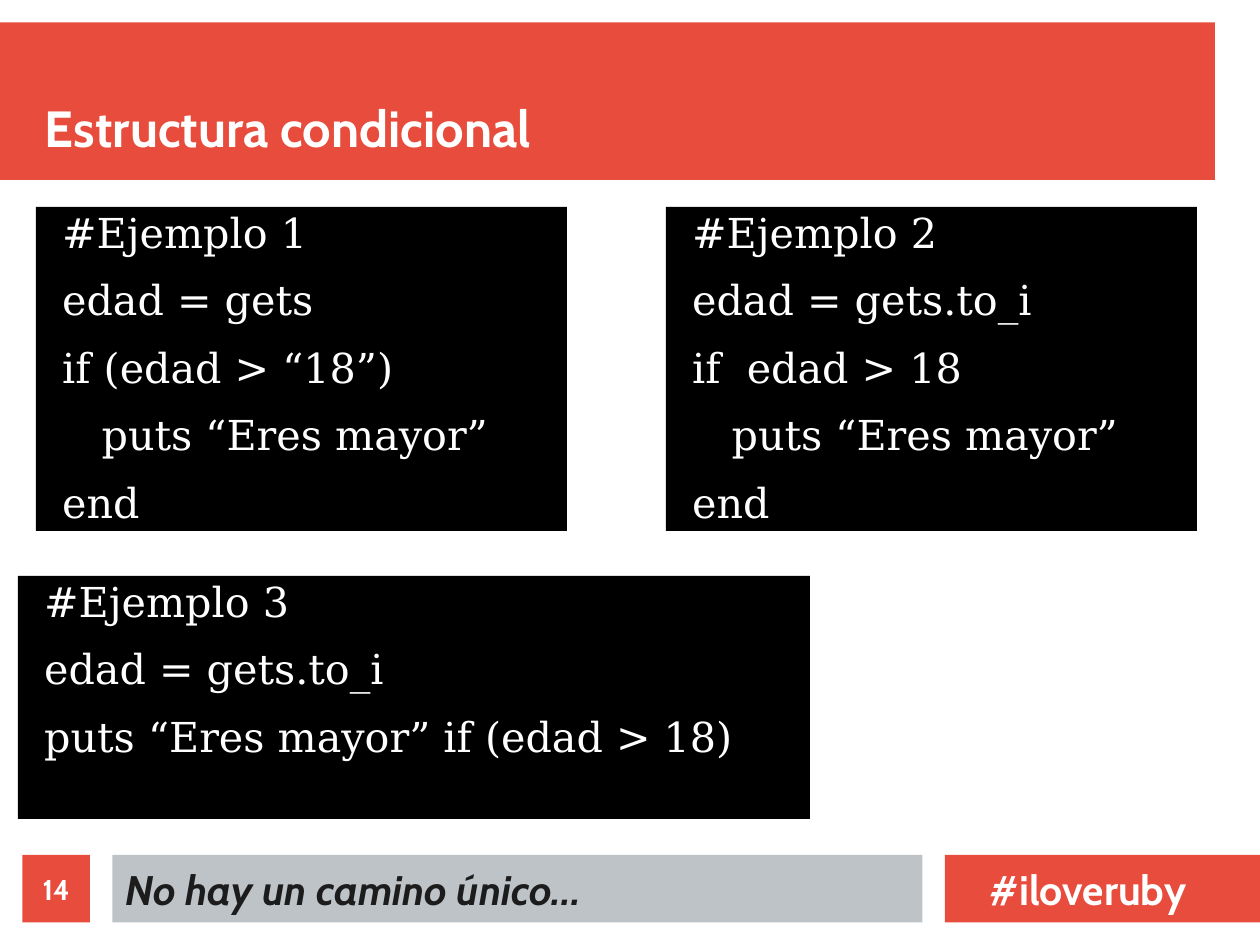
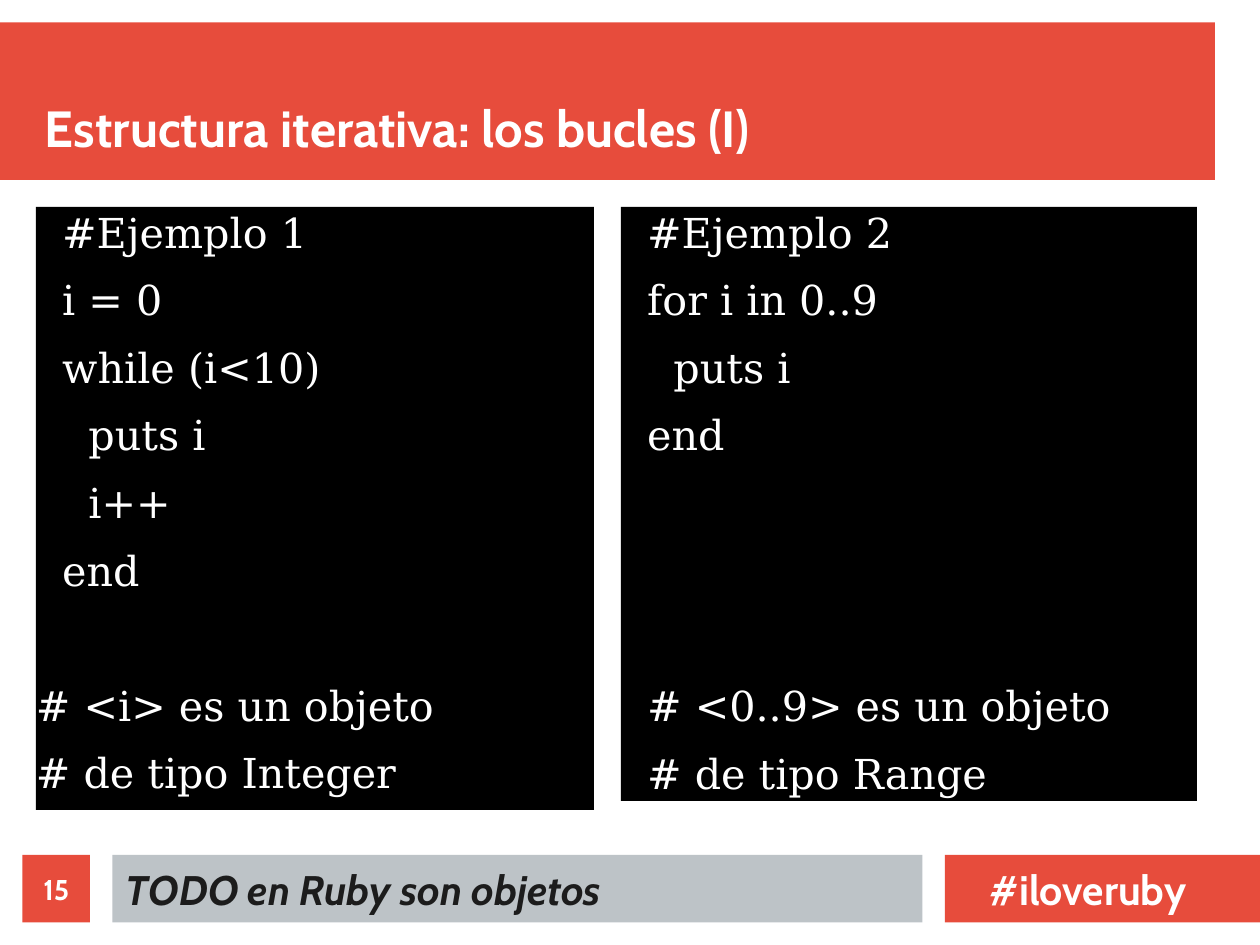
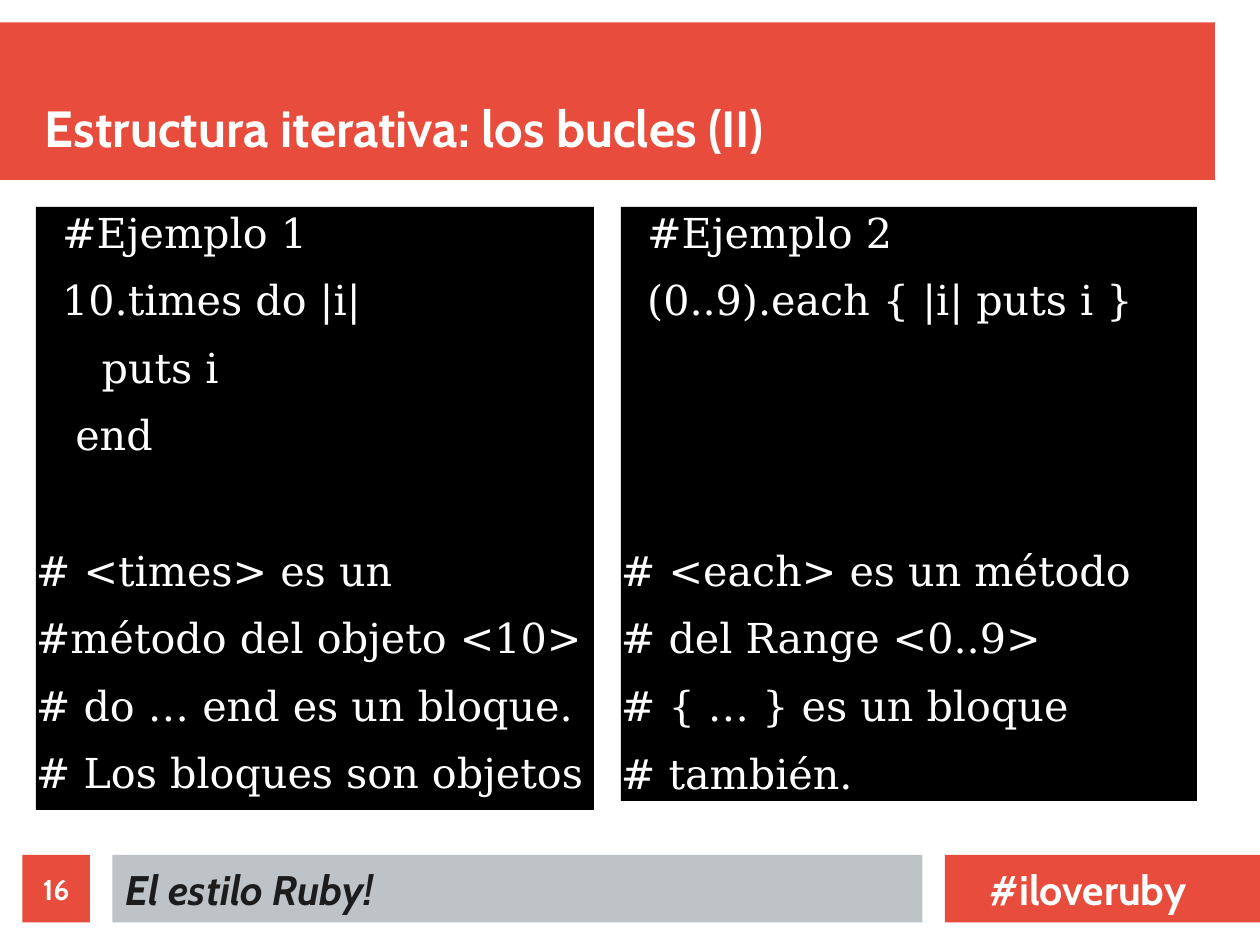
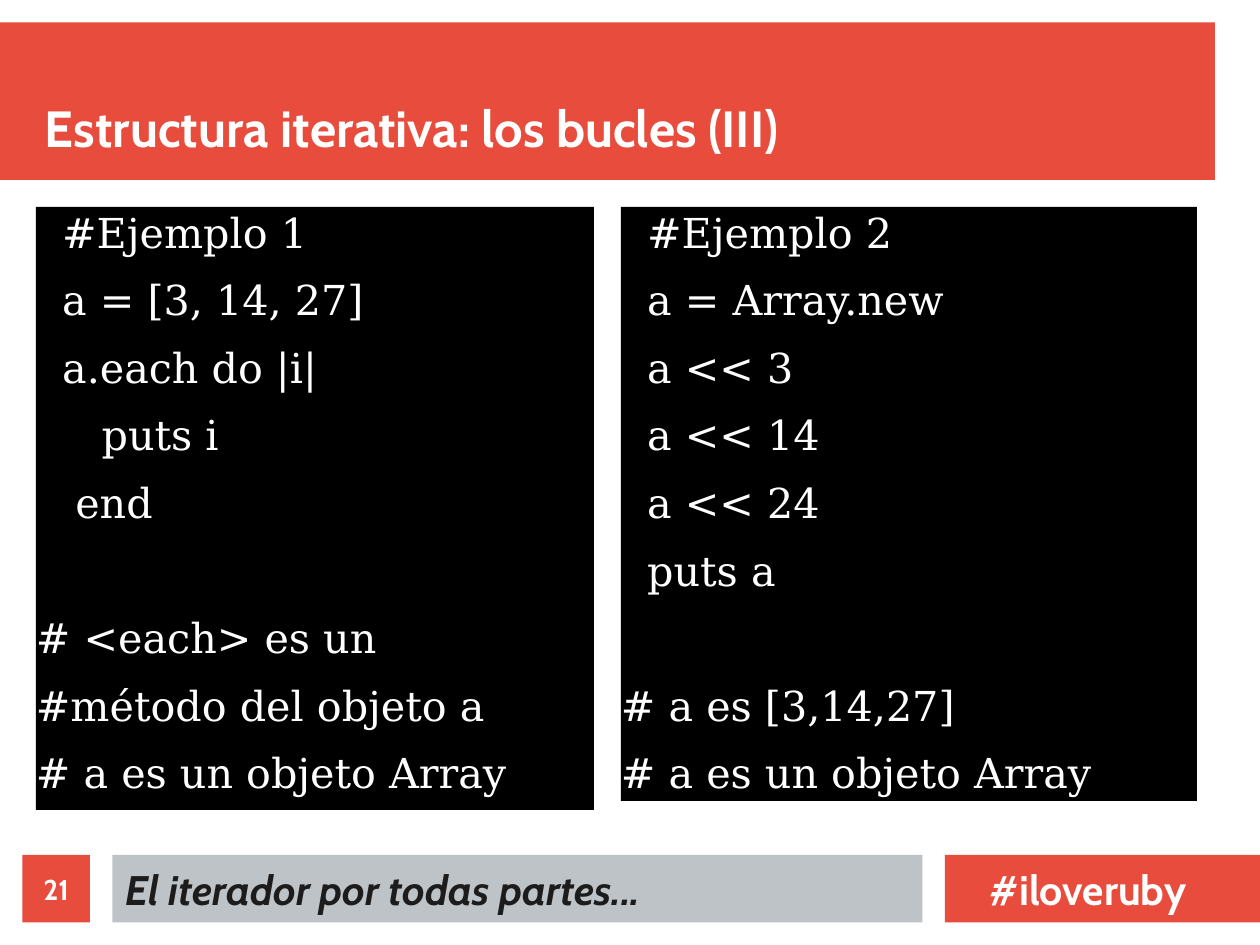
from pptx import Presentation
from pptx.dml.color import RGBColor
from pptx.enum.shapes import MSO_SHAPE
from pptx.enum.text import MSO_ANCHOR, PP_ALIGN
from pptx.util import Pt

RED = RGBColor(0xE7, 0x4C, 0x3C)
GRAY = RGBColor(0xBD, 0xC3, 0xC7)
BLACK = RGBColor(0, 0, 0)
INK = RGBColor(0x1C, 0x1C, 0x1C)
WHITE = RGBColor(0xFF, 0xFF, 0xFF)

TITLE_FONT = "Cabin"
CODE_FONT = "DejaVu Serif"
CODE_INDENT = 8.27  # one column of code indent
CODE_STEP = 42.6    # one line of code with its spacing

# Boxes: left, top, width, height
TITLE_BAND = (0, 14.17, 765.35, 99.21)
TAG_BAND = (595.28, 538.58, 198.43, 42.52)
NOTE_BAND = (70.87, 538.58, 510.24, 42.52)
NUMBER_BOX = (14.17, 538.58, 42.52, 42.52)
TITLE_BOX = (28.35, 28.35, 737.01, 70.87)
NOTE_BOX = (79.2, 544.25, 487.56, 34.02)
TAG_BOX = (623.62, 544.25, 147.4, 34.02)
TOP_LEFT = (22.68, 130.39, 334.49, 204.09)
TOP_RIGHT = (419.53, 130.39, 334.49, 204.09)
BOTTOM = (11.34, 362.83, 498.9, 153.07)
LEFT = (22.68, 130.39, 351.5, 379.84)
RIGHT = (391.18, 130.39, 362.83, 374.17)

# Number, title, footer note and code panels of each slide
SLIDES = [
    ("14", "Estructura condicional", "No hay un camino único...", [
        (TOP_LEFT, """  #Ejemplo 1
  edad = gets
  if (edad > “18”)
     puts “Eres mayor”
  end"""),
        (TOP_RIGHT, """  #Ejemplo 2
  edad = gets.to_i
  if  edad > 18
     puts “Eres mayor”
  end"""),
        (BOTTOM, """  #Ejemplo 3
  edad = gets.to_i
  puts “Eres mayor” if (edad > 18)"""),
    ]),
    ("15", "Estructura iterativa: los bucles (I)", "TODO en Ruby son objetos", [
        (LEFT, """  #Ejemplo 1
  i = 0
  while (i<10)
    puts i
    i++
  end

# <i> es un objeto
# de tipo Integer"""),
        (RIGHT, """  #Ejemplo 2
  for i in 0..9
    puts i
  end



  # <0..9> es un objeto
  # de tipo Range"""),
    ]),
    ("16", "Estructura iterativa: los bucles (II)", "El estilo Ruby!", [
        (LEFT, """  #Ejemplo 1
  10.times do |i|
     puts i
   end

# <times> es un
#método del objeto <10>
# do … end es un bloque.
# Los bloques son objetos"""),
        (RIGHT, """  #Ejemplo 2
  (0..9).each { |i| puts i }



# <each> es un método
# del Range <0..9>
# { … } es un bloque
# también."""),
    ]),
    ("21", "Estructura iterativa: los bucles (III)", "El iterador por todas partes...", [
        (LEFT, """  #Ejemplo 1
  a = [3, 14, 27]
  a.each do |i|
     puts i
   end

# <each> es un
#método del objeto a
# a es un objeto Array"""),
        (RIGHT, """  #Ejemplo 2
  a = Array.new
  a << 3
  a << 14
  a << 24
  puts a

# a es [3,14,27]
# a es un objeto Array"""),
    ]),
]


def add_box(s, box, text="", fill=None, font=TITLE_FONT, size=26, color=WHITE,
            bold=True, italic=False, align=PP_ALIGN.LEFT, anchor=MSO_ANCHOR.TOP,
            after=0):
    """Leading spaces become margins, blank lines become space before."""
    area = [Pt(v) for v in box]
    if fill is None:
        sp = s.shapes.add_textbox(*area)
    else:
        sp = s.shapes.add_shape(MSO_SHAPE.RECTANGLE, *area)
        sp.shadow.inherit = False
        sp.fill.solid()
        sp.fill.fore_color.rgb = fill
        sp.line.fill.background()
    tf = sp.text_frame
    tf.word_wrap = True
    tf.vertical_anchor = anchor
    tf.margin_left = tf.margin_top = tf.margin_right = tf.margin_bottom = 0
    p, blanks = tf.paragraphs[0], 0
    for line in text.splitlines():
        words = line.lstrip()
        if not words:
            blanks += 1
            continue
        if p.runs:
            p = tf.add_paragraph()
        p.alignment = align
        p.space_before = Pt(blanks * CODE_STEP)
        p.space_after = Pt(after)
        indent = len(line) - len(words)
        p._p.get_or_add_pPr().set("marL", str(Pt(indent * CODE_INDENT)))
        blanks = 0
        r = p.add_run()
        r.text = words
        r.font.name, r.font.size = font, Pt(size)
        r.font.bold, r.font.italic = bold, italic
        r.font.color.rgb = color


prs = Presentation()
prs.slide_width, prs.slide_height = Pt(793.7), Pt(595.28)

for number, title, note, panels in SLIDES:
    s = prs.slides.add_slide(prs.slide_layouts[6])

    # Bands
    for band, fill in ((TITLE_BAND, RED), (TAG_BAND, RED), (NOTE_BAND, GRAY)):
        add_box(s, band, fill=fill)

    # Title and footer
    add_box(s, TITLE_BOX, title, size=32, anchor=MSO_ANCHOR.BOTTOM)
    add_box(s, NOTE_BOX, note, color=INK, italic=True)
    add_box(s, TAG_BOX, "#iloveruby")
    add_box(s, NUMBER_BOX, number, fill=RED, size=18, align=PP_ALIGN.CENTER,
            anchor=MSO_ANCHOR.MIDDLE)

    # Code panels
    for box, code in panels:
        add_box(s, box, code, fill=BLACK, font=CODE_FONT, bold=False, after=11.4)

prs.save("out.pptx")
